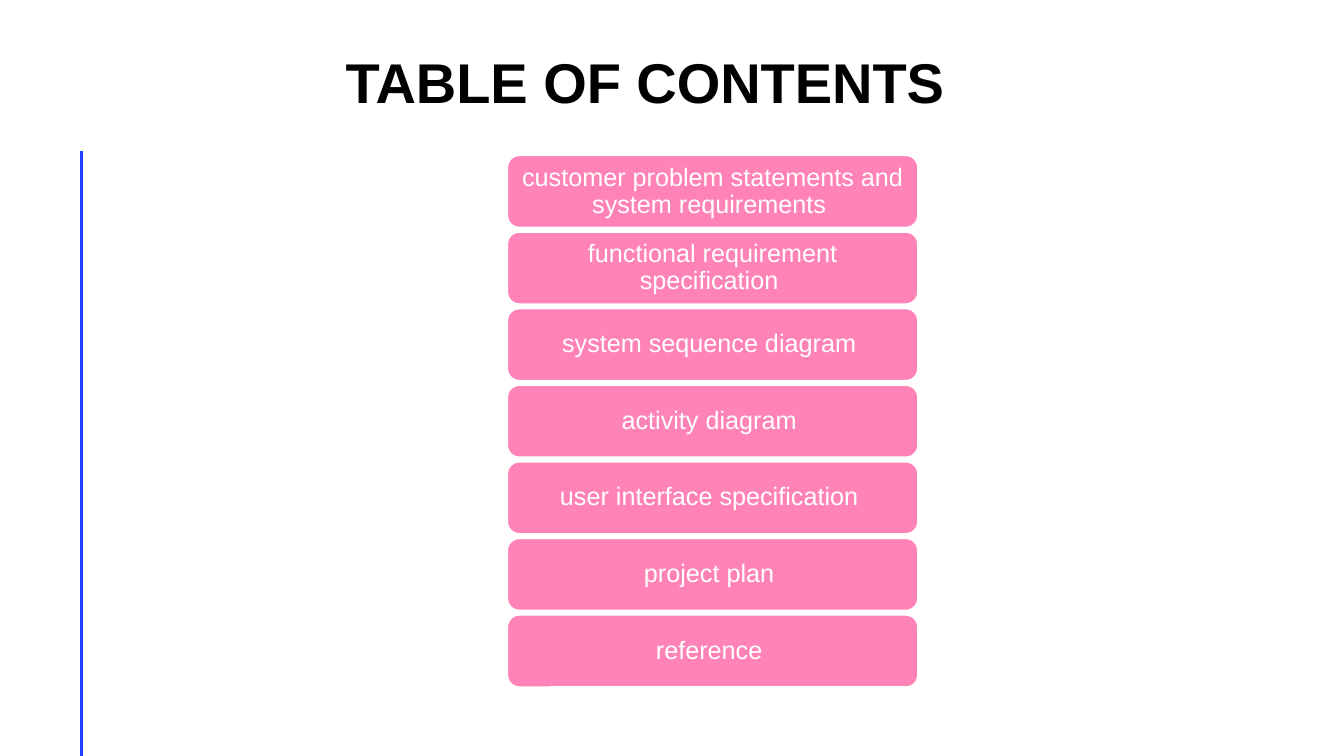
import pptx
import pptx.util
import pptx.dml.color
import pptx.enum.shapes
import pptx.enum.text
import lxml.etree
from pptx.util import Cm, Pt

COLORS = {"rule": "2340FF", "bar": "FF83B6", "white": "FFFFFF", "title": "000000"}
TOPICS = [
    "customer problem statements and system requirements ",
    "functional requirement specification ",
    "system sequence diagram ",
    "activity diagram ",
    "user interface specification ",
    "project plan ",
    "reference ",
]
BAR_LEFT, BAR_TOP, BAR_WIDTH, BAR_HEIGHT, BAR_PITCH = 12.78, 3.91, 10.36, 1.83, 1.93


def color(name):
    return pptx.dml.color.RGBColor.from_string(COLORS[name])


def write_text(shape, text, insets, paragraph_format, font_format, font_color):
    frame = shape.text_frame
    frame_format = {
        "word_wrap": True,
        "vertical_anchor": pptx.enum.text.MSO_ANCHOR.MIDDLE,
        "margin_left": Cm(insets[0]),
        "margin_right": Cm(insets[0]),
        "margin_top": Cm(insets[1]),
        "margin_bottom": Cm(insets[1]),
    }
    paragraph = frame.paragraphs[0]
    run = paragraph.add_run()
    run.text = text
    for target, values in (
        (frame, frame_format),
        (paragraph, paragraph_format),
        (run.font, {"name": "Arial", **font_format}),
    ):
        for key, value in values.items():
            setattr(target, key, value)
    run.font.color.rgb = color(font_color)


presentation = pptx.Presentation()
presentation.slide_width = Cm(33.87)
presentation.slide_height = Cm(19.05)
slide = presentation.slides.add_slide(presentation.slide_layouts[6])

# Vertical rule on the left
rule = slide.shapes.add_connector(
    pptx.enum.shapes.MSO_CONNECTOR.STRAIGHT, Cm(2.06), Cm(3.81), Cm(2.06), Cm(19.05)
)
rule.line.color.rgb = color("rule")
rule.line.width = Pt(2)
lxml.etree.SubElement(rule.element.spPr, pptx.oxml.ns.qn("a:effectLst"))

# Title
title = slide.shapes.add_textbox(Cm(8.71), Cm(0.46), Cm(18.52), Cm(3.45))
write_text(
    title,
    "TABLE OF CONTENTS",
    (0, 0),
    {"alignment": pptx.enum.text.PP_ALIGN.LEFT, "line_spacing": Pt(40)},
    {"size": Pt(40), "bold": True},
    "title",
)

# One bar per topic
for index, topic in enumerate(TOPICS):
    bar = slide.shapes.add_shape(
        pptx.enum.shapes.MSO_SHAPE.ROUNDED_RECTANGLE,
        Cm(BAR_LEFT), Cm(BAR_TOP + index * BAR_PITCH), Cm(BAR_WIDTH), Cm(BAR_HEIGHT),
    )
    bar.shadow.inherit = False
    bar.fill.solid()
    bar.fill.fore_color.rgb = color("bar")
    bar.line.color.rgb = color("white")
    bar.line.width = Pt(1.5)
    write_text(
        bar,
        topic,
        (0.19, 0.1),
        {"alignment": pptx.enum.text.PP_ALIGN.CENTER, "line_spacing": 0.9},
        {"size": Pt(18)},
        "white",
    )

presentation.save("out.pptx")
